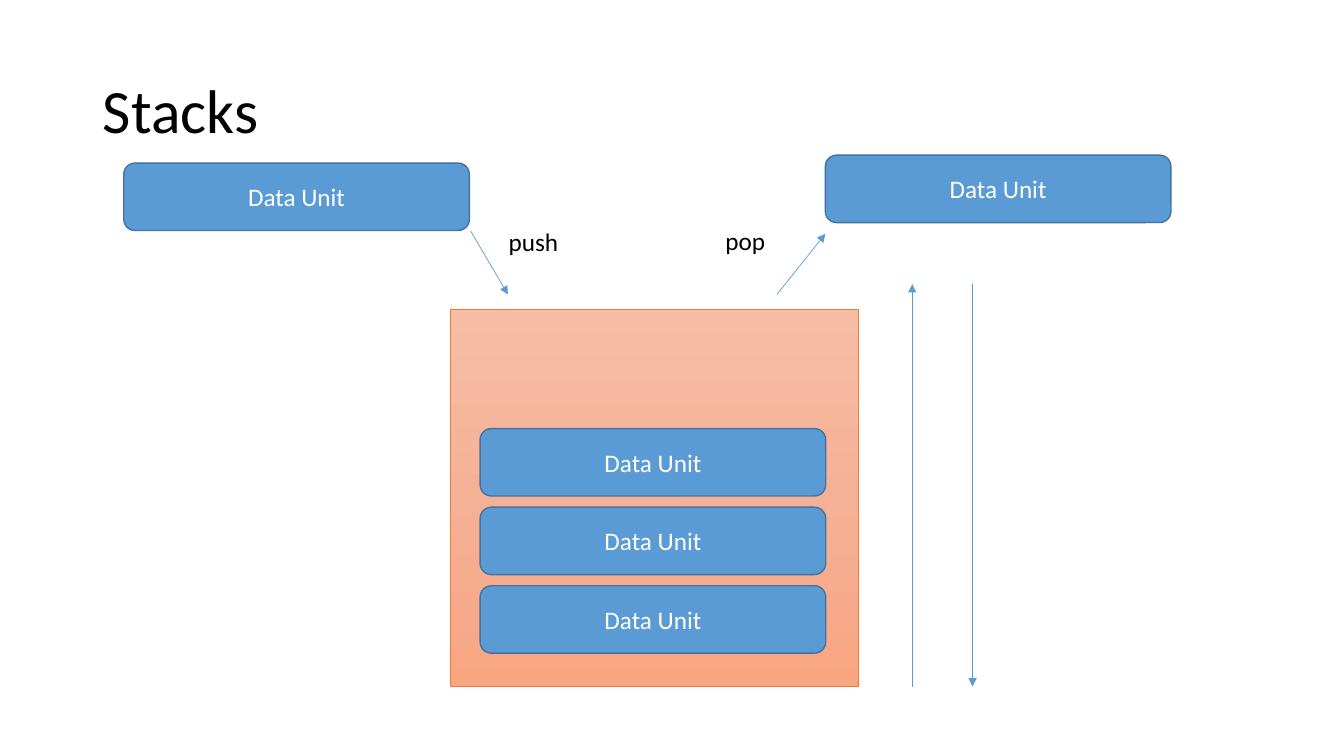
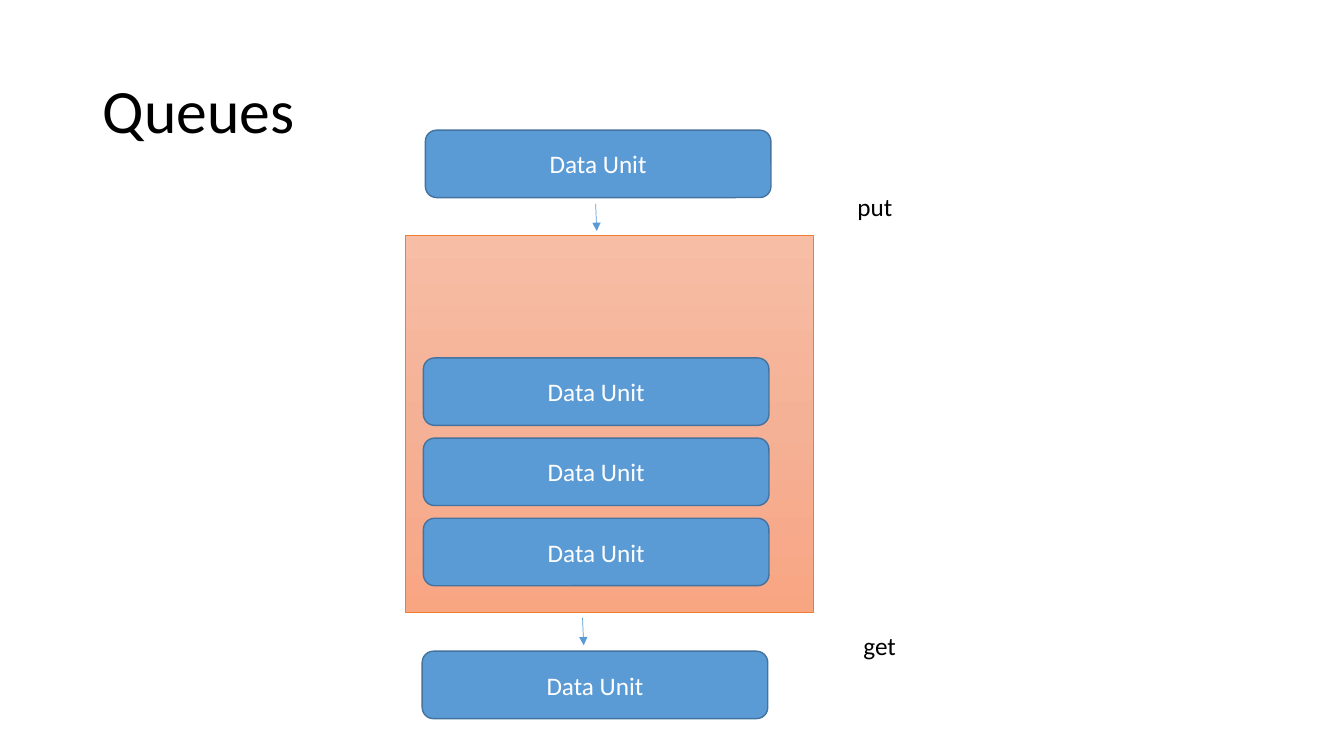
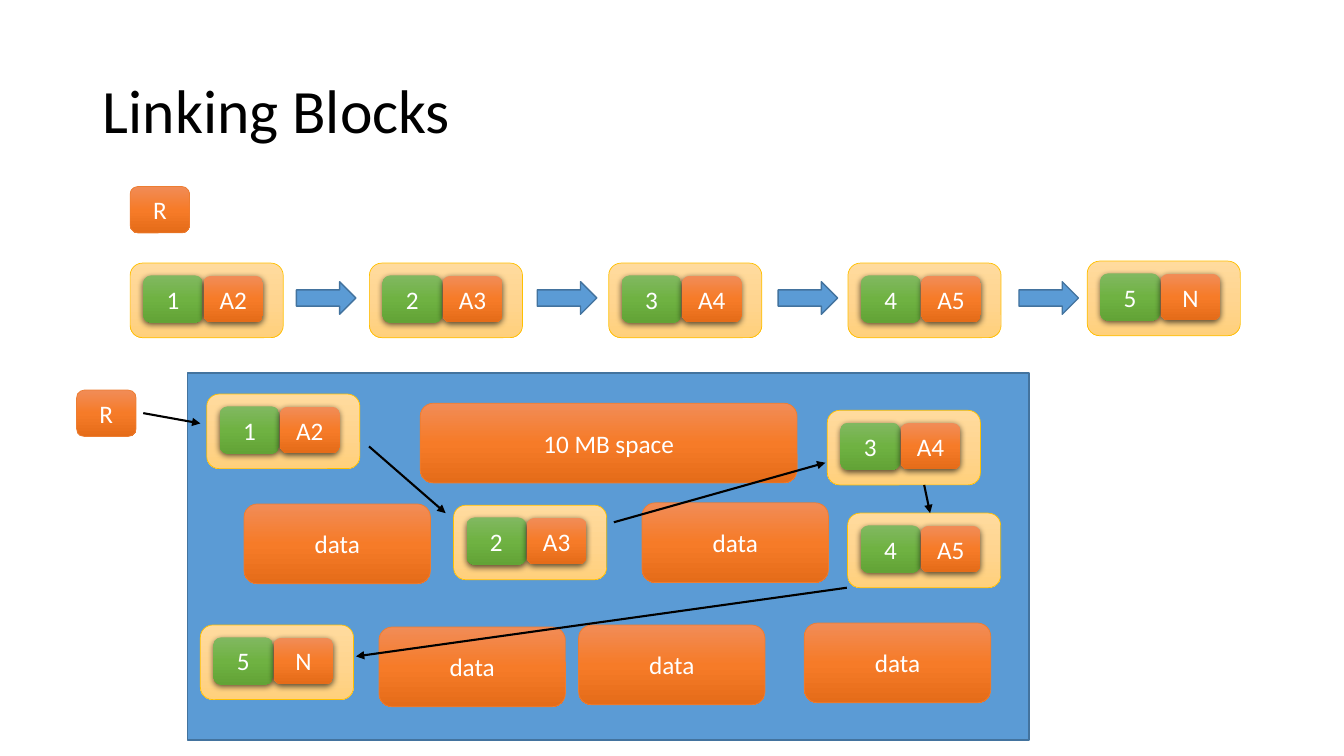
from copy import deepcopy

from lxml.etree import SubElement
from pptx import Presentation
from pptx.dml.color import RGBColor
from pptx.enum.shapes import MSO_CONNECTOR, MSO_SHAPE
from pptx.enum.text import MSO_ANCHOR, MSO_AUTO_SIZE, PP_ALIGN
from pptx.oxml.ns import qn
from pptx.util import Cm, Pt

# Shared look
FONT = "Calibri"
BLACK, WHITE, BLUE = "000000", "FFFFFF", "5B9BD5"
ORANGE_SHADES = ("F18C57", "F67B28", "E56C19")
# Each style: fill colours from top to bottom, line colour, line width, shadow
BLUE_STYLE = ((BLUE,), "43739E", 1, False)
CONTAINER_STYLE = (("F7BDA5", "F5B196", "F8A582"), "ED7D31", 0.5, False)
BLOCK_STYLE = (("FFDB9E", "FFD590", "FFD07C"), "FFC000", 0.5, False)
ORANGE_STYLE = (ORANGE_SHADES, "ED7D31", 0.5, False)
NUMBER_STYLE = (("81B861", "6FB242", "62A336"), None, 0, True)
LINK_STYLE = (ORANGE_SHADES, None, 0, True)
ROUNDED = MSO_SHAPE.ROUNDED_RECTANGLE
color = RGBColor.from_string


def add_box(slide, kind, left, top, width, height, style, text=""):
    shades, line_color, line_width, has_shadow = style
    box = slide.shapes.add_shape(kind, Cm(left), Cm(top), Cm(width), Cm(height))
    properties = box._element.spPr
    if len(shades) == 1:
        box.fill.solid()
        box.fill.fore_color.rgb = color(shades[0])
    else:
        box.fill.gradient()
        box.fill.gradient_angle = 270
        first_stop = properties.find(".//" + qn("a:gs"))
        first_stop.addnext(deepcopy(first_stop))
        for stop, shade, position in zip(box.fill.gradient_stops, shades, (0, 0.5, 1)):
            stop.color.rgb = color(shade)
            stop.position = position
    if line_color:
        box.line.color.rgb = color(line_color)
        box.line.width = Pt(line_width)
    else:
        box.line.fill.background()
    box.shadow.inherit = False
    if has_shadow:
        shadow = SubElement(properties.find(qn("a:effectLst")), qn("a:outerShdw"),
                            blurRad="57150", dist="19050", dir="5400000",
                            algn="ctr", rotWithShape="0")
        shade = SubElement(shadow, qn("a:srgbClr"), val=BLACK)
        SubElement(shade, qn("a:alpha"), val="63000")
    if text:
        box.text_frame.text = text
        box.text_frame.vertical_anchor = MSO_ANCHOR.MIDDLE
        paragraph = box.text_frame.paragraphs[0]
        paragraph.alignment = PP_ALIGN.CENTER
        font = paragraph.runs[0].font
        font.name, font.size, font.color.rgb = FONT, Pt(18), color(WHITE)


def add_arrow(slide, x1, y1, x2, y2, line_color, line_width):
    arrow = slide.shapes.add_connector(MSO_CONNECTOR.STRAIGHT, Cm(x1), Cm(y1), Cm(x2), Cm(y2))
    arrow.line.color.rgb = color(line_color)
    arrow.line.width = Pt(line_width)
    SubElement(arrow.line._get_or_add_ln(), qn("a:tailEnd"), type="triangle")
    SubElement(arrow._element.spPr, qn("a:effectLst"))


prs = Presentation()
prs.slide_width, prs.slide_height = Cm(33.87), Cm(19.05)

# Slides and titles
slides = []
for heading in ("Stacks", "Queues", "Linking Blocks"):
    slide = prs.slides.add_slide(prs.slide_layouts[5])
    title = slide.shapes.title
    title.left, title.top, title.width, title.height = Cm(2.34), Cm(1.02), Cm(29.21), Cm(3.68)
    title.text_frame.text = heading
    title.text_frame.vertical_anchor = MSO_ANCHOR.MIDDLE
    paragraph = title.text_frame.paragraphs[0]
    paragraph.alignment, paragraph.line_spacing = PP_ALIGN.LEFT, 0.9
    font = paragraph.runs[0].font
    font.name, font.size, font.color.rgb = FONT, Pt(44), color(BLACK)
    slides.append(slide)
stacks, queues, linking = slides

# Stacks and queues: container, data units (left, top), arrows, labels (text, left, top, width)
structures = [
    (stacks, (11.35, 7.8),
     [(3.12, 4.11), (20.8, 3.91)] + [(12.1, 10.8 + 1.98 * i) for i in range(3)],
     [(22.99, 17.3, 22.99, 7.16), (24.51, 7.16, 24.51, 17.3),
      (11.86, 5.82, 12.8, 7.42), (19.58, 7.42, 20.8, 5.89)],
     [("push", 12.57, 5.59, 3.43), ("pop", 18.03, 5.56, 2.18)]),
    (queues, (10.21, 5.94),
     [(10.72, 3.28), (10.64, 16.41)] + [(10.67, 9.02 + 2.02 * i) for i in range(3)],
     [(15.01, 5.13, 15.04, 5.82), (14.68, 15.57, 14.71, 16.26)],
     [("put", 21.36, 4.7, 4.98), ("get", 21.51, 15.75, 3.66)]),
]
for slide, (left, top), units, arrows, labels in structures:
    add_box(slide, MSO_SHAPE.RECTANGLE, left, top, 10.29, 9.5, CONTAINER_STYLE)
    for left, top in units:
        add_box(slide, ROUNDED, left, top, 8.71, 1.7, BLUE_STYLE, "Data Unit")
    for ends in arrows:
        add_arrow(slide, *ends, BLUE, 0.5)
    for text, left, top, width in labels:
        label = slide.shapes.add_textbox(Cm(left), Cm(top), Cm(width), Cm(1.02))
        label.text_frame.word_wrap = True
        label.text_frame.auto_size = MSO_AUTO_SIZE.SHAPE_TO_FIT_TEXT
        label.text_frame.text = text
        font = label.text_frame.paragraphs[0].runs[0].font
        font.name, font.size, font.color.rgb = FONT, Pt(18), color(BLACK)

# Linking blocks: memory area with its used space
add_box(linking, MSO_SHAPE.RECTANGLE, 4.72, 9.4, 21.21, 9.25, BLUE_STYLE)
add_box(linking, ROUNDED, 10.59, 10.16, 9.5, 2.01, ORANGE_STYLE, "10 MB space")
for left, top in ((6.15, 12.7), (9.55, 15.8), (14.58, 15.75), (16.18, 12.67), (20.27, 15.7)):
    add_box(linking, ROUNDED, left, top, 4.7, 2.01, ORANGE_STYLE, "data")

# Root of the list, in the row and beside the memory
for left, top in ((3.28, 4.7), (1.93, 9.83)):
    add_box(linking, ROUNDED, left, top, 1.5, 1.17, ORANGE_STYLE, "R")

# Each block twice: in the row and in memory
links = ("A2", "A3", "A4", "A5", "N")
row_places = [(3.28 + 6.03 * i, 6.58 if i == 4 else 6.63) for i in range(5)]
memory_places = [(5.21, 9.93), (11.43, 12.73), (20.85, 10.34), (21.36, 12.93), (5.05, 15.75)]
for places in (row_places, memory_places):
    for number, (link, (left, top)) in enumerate(zip(links, places), start=1):
        add_box(linking, ROUNDED, left, top, 3.86, 1.88, BLOCK_STYLE)
        add_box(linking, ROUNDED, left + 0.33, top + 0.31, 1.5, 1.19, NUMBER_STYLE, str(number))
        add_box(linking, ROUNDED, left + 1.85, top + 0.32, 1.5, 1.17, LINK_STYLE, link)

# Arrows along the row
for i in range(4):
    add_box(linking, MSO_SHAPE.RIGHT_ARROW, 7.47 + 6.07 * i, 7.1, 1.5, 0.82, BLUE_STYLE)

# Pointers between the blocks in memory
for ends in ((3.61, 10.41, 5.05, 10.67), (9.3, 11.25, 11.23, 12.93), (15.47, 13.16, 20.8, 11.66),
             (23.29, 12.22, 23.44, 12.93), (21.34, 14.81, 8.97, 16.54)):
    add_arrow(linking, *ends, BLACK, 1.5)

prs.save("out.pptx")
